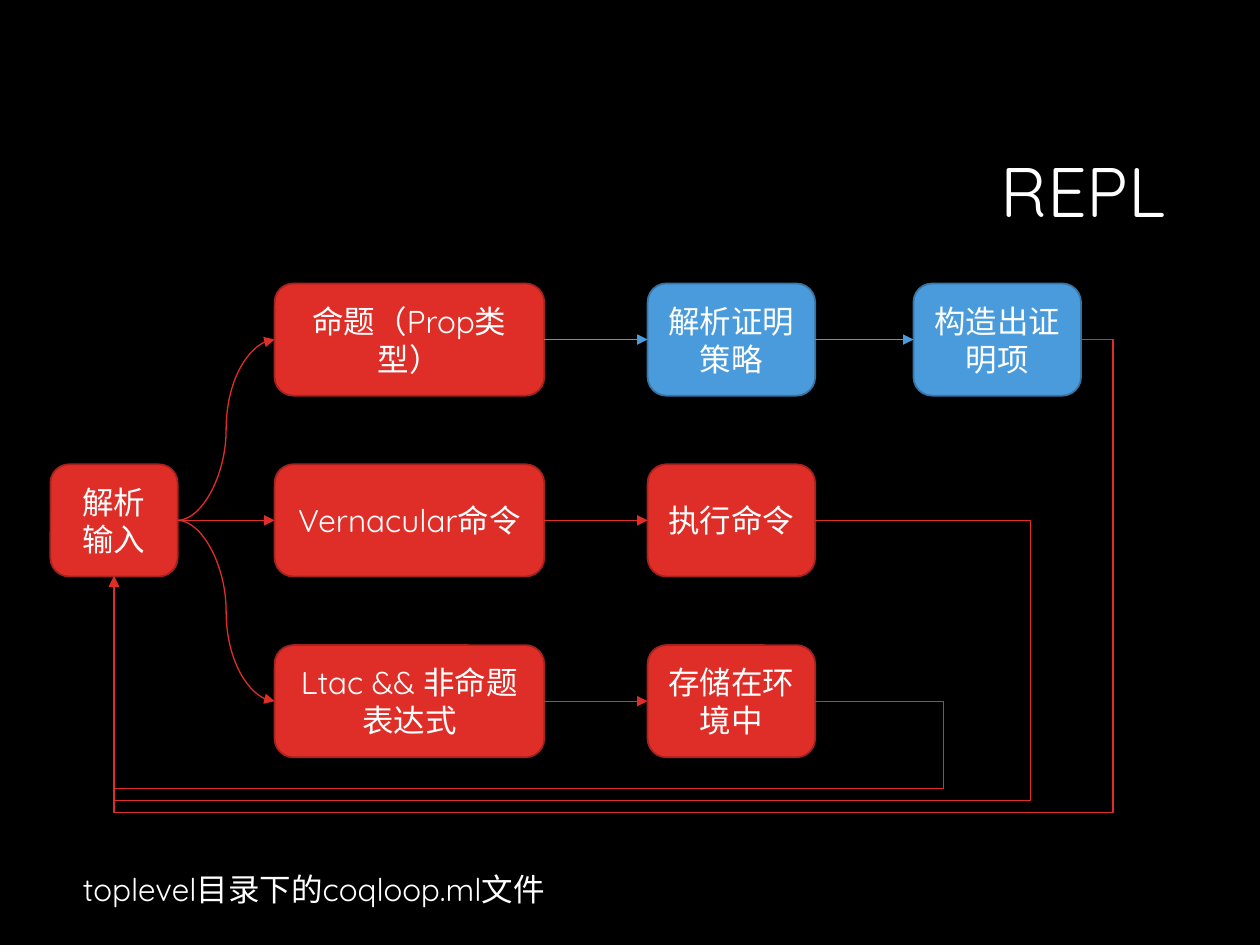
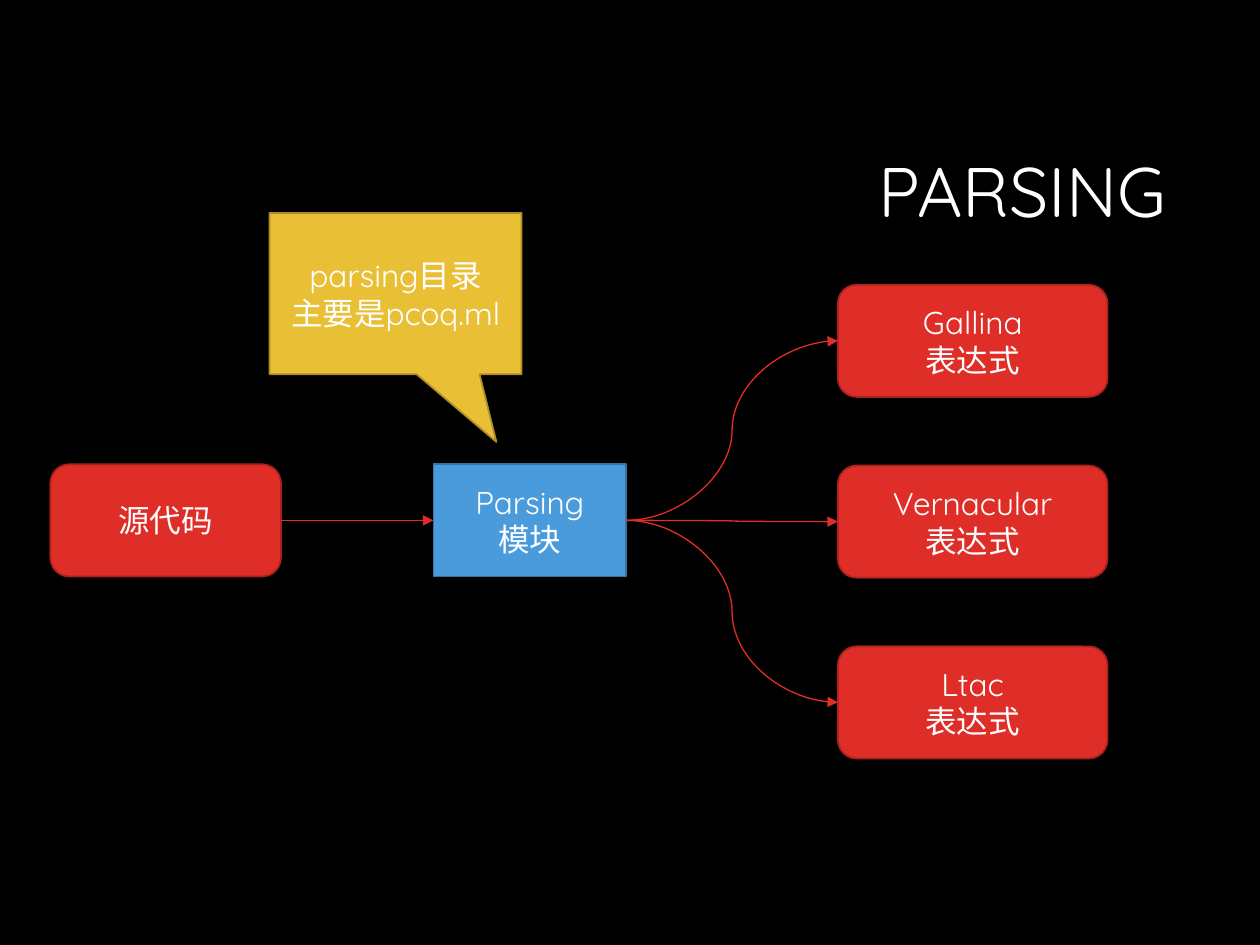
from pptx import Presentation
from pptx.dml.color import RGBColor
from pptx.enum.shapes import MSO_CONNECTOR, MSO_SHAPE
from pptx.enum.text import MSO_ANCHOR, PP_ALIGN
from pptx.oxml.ns import qn
from pptx.util import Inches, Pt
from lxml.etree import SubElement

COLORS = {
    "background": "000000", "text": "FFFFFF",
    "red": "DF2E28", "red_edge": "A5221E",
    "blue": "4A9BDC", "blue_edge": "3773A3",
    "yellow": "E9BF35", "yellow_edge": "AC8D27",
}
FONT = "Quicksand"
TITLE_BOX = (2.38, 0.84, 6.97, 1.41)
FLOW_BOX = (0.4, 2.25, 8.43, 4.2)
NOTE_BOX = (0.56, 6.86, 4.12, 0.4)
NODE_HEIGHT = 0.89
ROW_PITCH = 1.435
TOP, LEFT, BOTTOM, RIGHT = range(4)


def color(name):
    return RGBColor.from_string(COLORS[name])


def set_all(target, values):
    for name, value in values.items():
        setattr(target, name, value)


def write(shape, text, size=18, frame_format=None, **para_format):
    """Fill a shape with one paragraph per line of text."""
    frame = shape.text_frame
    set_all(frame, {"word_wrap": True, "vertical_anchor": MSO_ANCHOR.MIDDLE,
                    **(frame_format or {})})
    for index, line in enumerate(text.split("\n")):
        para = frame.paragraphs[0] if index == 0 else frame.add_paragraph()
        set_all(para, para_format)
        span = para.add_run()
        span.text = line
        set_all(span.font, {"name": FONT, "size": Pt(size)})
        span.font.color.rgb = color("text")


def add_text(page, box, text, **options):
    shape = page.shapes.add_textbox(*map(Inches, box))
    write(shape, text, **options)


def add_node(page, box, text, hue="red", kind=MSO_SHAPE.ROUNDED_RECTANGLE):
    node = page.shapes.add_shape(kind, *map(Inches, box))
    node.shadow.inherit = False
    node.fill.solid()
    node.fill.fore_color.rgb = color(hue)
    node.line.color.rgb = color(hue + "_edge")
    node.line.width = Pt(1)
    write(node, text, alignment=PP_ALIGN.CENTER)
    return node


def add_arrow(page, source, target, kind=MSO_CONNECTOR.STRAIGHT, hue="red",
              target_side=LEFT):
    """Join the right side of one node to a side of another."""
    arrow = page.shapes.add_connector(kind, 0, 0, 0, 0)
    arrow.begin_connect(source, RIGHT)
    arrow.end_connect(target, target_side)
    arrow.line.color.rgb = color(hue)
    arrow.line.width = Pt(0.75)
    SubElement(arrow.line._get_or_add_ln(), qn("a:tailEnd"), type="triangle")
    SubElement(arrow._element.spPr, qn("a:effectLst"))
    return arrow


def add_return(page, source, target, turn_x, turn_y):
    """Lead an arrow out to turn_x, down to turn_y and back up to the target."""
    arrow = add_arrow(page, source, target, MSO_CONNECTOR.ELBOW,
                      target_side=BOTTOM)
    geometry = arrow._element.spPr.find(qn("a:prstGeom"))
    geometry.set("prst", "bentConnector4")
    guides = geometry.find(qn("a:avLst"))
    if guides is None:
        guides = SubElement(geometry, qn("a:avLst"))
    ratios = (
        (Inches(turn_x) - arrow.begin_x) / (arrow.end_x - arrow.begin_x),
        (Inches(turn_y) - arrow.begin_y) / (arrow.end_y - arrow.begin_y),
    )
    for number, ratio in enumerate(ratios, 1):
        SubElement(guides, qn("a:gd"), name=f"adj{number}",
                   fmla=f"val {round(ratio * 100000)}")


def add_page(deck, title):
    page = deck.slides.add_slide(deck.slide_layouts[6])
    page.background.fill.solid()
    page.background.fill.fore_color.rgb = color("background")
    add_text(page, TITLE_BOX, title, size=40,
             alignment=PP_ALIGN.RIGHT, line_spacing=0.9)
    return page


def draw_loop(page, box):
    left, top, width, height = box

    def place(x, row, node_width, text, hue="red"):
        node_box = (left + x, top + row * ROW_PITCH, node_width, NODE_HEIGHT)
        return add_node(page, node_box, text, hue)

    # Input, its three kinds, and the step that handles each
    source = place(0, 1, 1.01, "解析输入")
    kinds = [place(1.78, row, 2.14, text) for row, text in enumerate(
        ("命题（Prop类型）", "Vernacular命令", "Ltac && 非命题表达式"))]
    steps = [place(4.74, row, 1.33, text, hue) for row, (text, hue) in enumerate(
        (("解析证明策略", "blue"), ("执行命令", "red"), ("存储在环境中", "red")))]
    proof = place(6.85, 0, 1.33, "构造出证明项", "blue")

    # Forward arrows
    for kind, step, hue in zip(kinds, steps, ("blue", "red", "red")):
        add_arrow(page, source, kind, MSO_CONNECTOR.CURVE)
        add_arrow(page, kind, step, hue=hue)
    add_arrow(page, steps[0], proof, hue="blue")

    # Nested return arrows, outermost first
    last_steps = (proof, steps[1], steps[2])
    for lane, (step, inset) in enumerate(zip(last_steps, (0, 0.65, 1.34))):
        add_return(page, step, source, left + width - inset,
                   top + height - lane * 0.095)


def draw_parsing(page, box):
    left, top = box[:2]
    middle = top + ROW_PITCH

    # Source code and parser
    source = add_node(page, (left, middle, 1.83, NODE_HEIGHT), "源代码")
    parser = add_node(page, (left + 3.04, middle, 1.53, NODE_HEIGHT),
                      "Parsing\n模块", "blue", MSO_SHAPE.RECTANGLE)
    add_arrow(page, source, parser)

    # Resulting expressions
    for row, language in enumerate(("Gallina", "Vernacular", "Ltac")):
        node_box = (left + 6.25, top + 0.01 + row * ROW_PITCH, 2.14, NODE_HEIGHT)
        result = add_node(page, node_box, f"{language}\n表达式")
        add_arrow(page, parser, result, MSO_CONNECTOR.CURVE)

    # Callout above the parser
    callout = add_node(page, (left + 1.74, top - 0.56, 2, 1.28),
                       "parsing目录\n主要是pcoq.ml", "yellow",
                       MSO_SHAPE.RECTANGULAR_CALLOUT)
    callout.adjustments[0] = 0.4
    callout.adjustments[1] = 0.92


def main():
    deck = Presentation()
    deck.slide_width, deck.slide_height = Inches(10), Inches(7.5)

    loop_page = add_page(deck, "REPL")
    draw_loop(loop_page, FLOW_BOX)
    add_text(loop_page, NOTE_BOX, "toplevel目录下的coqloop.ml文件",
             frame_format={"word_wrap": False, "vertical_anchor": MSO_ANCHOR.TOP})

    draw_parsing(add_page(deck, "PARSING"), FLOW_BOX)
    deck.save("out.pptx")


if __name__ == "__main__":
    main()
